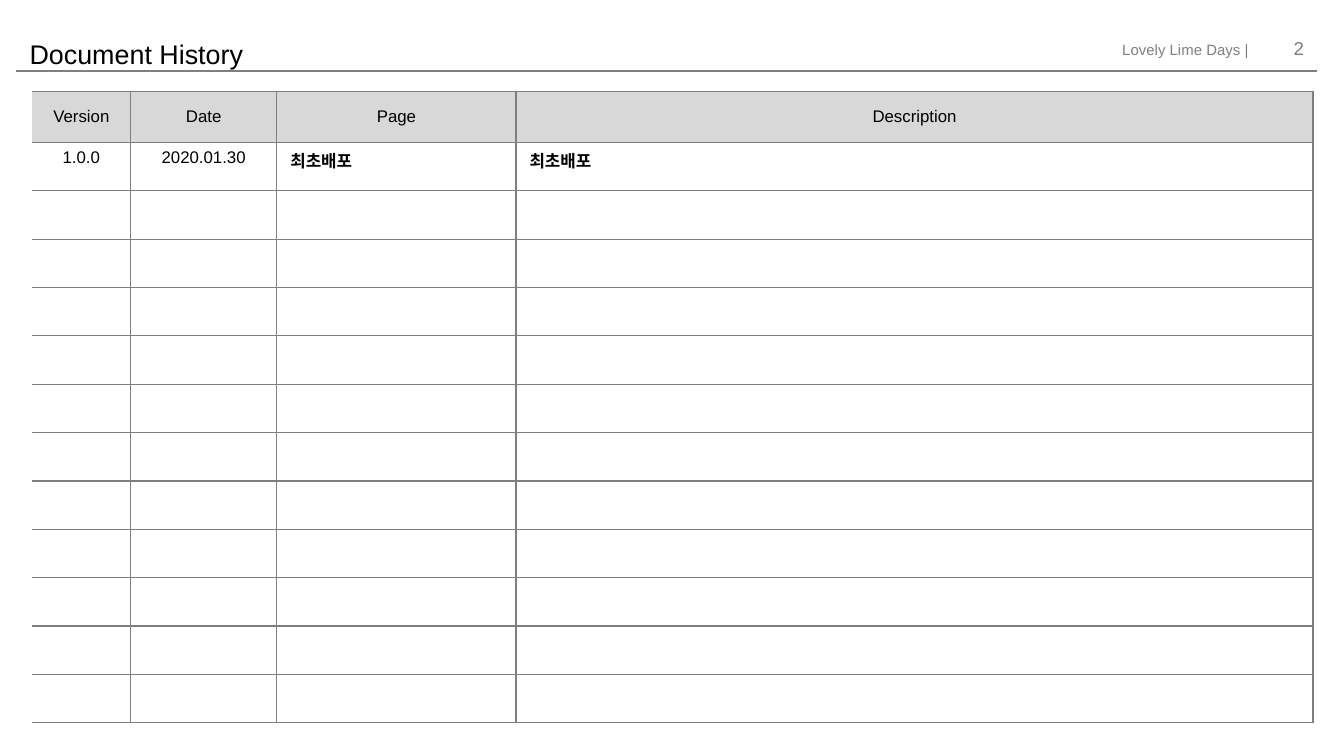
import pptx
import pptx.util
from lxml import etree
from pptx.dml.color import RGBColor
from pptx.enum.shapes import MSO_CONNECTOR
from pptx.enum.text import MSO_ANCHOR, MSO_AUTO_SIZE, PP_ALIGN
from pptx.oxml.ns import qn

PX = 9144  # EMU per px, 100 px to the inch
BLACK = RGBColor(0x00, 0x00, 0x00)
WHITE = RGBColor(0xFF, 0xFF, 0xFF)
GRAY = RGBColor(0x7F, 0x7F, 0x7F)
LIGHT_GRAY = RGBColor(0xD8, 0xD8, 0xD8)
FONT = "Arial"
CELL_SIZE = 9

SLIDE_WIDTH = 1000
COLUMNS = [73, 109, 178, 593]
HEADER_HEIGHT, ROW_HEIGHT = 38, 36
HEADER = ["Version", "Date", "Page", "Description"]
HISTORY = [["1.0.0", "2020.01.30", "최초배포", "최초배포"]]
EMPTY_ROWS = 11


def px(*values):
    return [pptx.util.Emu(v * PX) for v in values]


def write(tf, text, size, color, align=PP_ALIGN.LEFT, bold=False):
    p = tf.paragraphs[0]
    p.alignment = align
    r = p.add_run()
    r.text = text
    font = {"name": FONT, "size": pptx.util.Pt(size), "bold": bold}
    for key, value in font.items():
        setattr(r.font, key, value)
    r.font.color.rgb = color


def set_frame(tf, anchor):
    frame = {"word_wrap": True, "auto_size": MSO_AUTO_SIZE.NONE,
             "vertical_anchor": anchor}
    for key, value in frame.items():
        setattr(tf, key, value)


def add_title(s, box, text):
    title = s.shapes.title
    for key, value in zip(("left", "top", "width", "height"), px(*box)):
        setattr(title, key, value)
    set_frame(title.text_frame, MSO_ANCHOR.TOP)
    write(title.text_frame, text, 14.4, BLACK)


def add_label(s, box, text, size, anchor):
    tf = s.shapes.add_textbox(*px(*box)).text_frame
    set_frame(tf, anchor)
    write(tf, text, size, GRAY, PP_ALIGN.RIGHT)


def add_rule(s, x1, y, x2):
    line = s.shapes.add_connector(MSO_CONNECTOR.STRAIGHT, *px(x1, y, x2, y))
    line.line.color.rgb = GRAY
    line.line.width = pptx.util.Pt(1)
    etree.SubElement(line._element.spPr, qn("a:effectLst"))


def set_borders(cell, open_left):
    tcPr = cell._tc.get_or_add_tcPr()
    for side in "LRTB":
        ln = etree.SubElement(tcPr, qn(f"a:ln{side}"), w=str(pptx.util.Pt(0.75)))
        if side == "L" and open_left:
            etree.SubElement(ln, qn("a:noFill"))
        else:
            fill = etree.SubElement(ln, qn("a:solidFill"))
            etree.SubElement(fill, qn("a:srgbClr"), val=str(GRAY))


def fill_cell(cell, text, row, col):
    header = row == 0
    set_borders(cell, open_left=col == 0)
    cell.fill.solid()
    cell.fill.fore_color.rgb = LIGHT_GRAY if header else WHITE
    cell.vertical_anchor = MSO_ANCHOR.MIDDLE if header else MSO_ANCHOR.TOP
    cell.margin_top, cell.margin_bottom = px(4, 4)
    if text:
        centred = header or col < 2
        write(cell.text_frame, text, CELL_SIZE, BLACK,
              PP_ALIGN.CENTER if centred else PP_ALIGN.LEFT, bold=not centred)
    else:
        # Small type keeps an empty row at its height
        p = cell.text_frame.paragraphs[0]
        etree.SubElement(p._p, qn("a:endParaRPr"), sz=str(CELL_SIZE * 100))


def add_history_table(s, left, top):
    rows = [HEADER] + HISTORY + [[""] * len(COLUMNS)] * EMPTY_ROWS
    heights = [HEADER_HEIGHT] + [ROW_HEIGHT] * (len(rows) - 1)
    table = s.shapes.add_table(len(rows), len(COLUMNS),
                               *px(left, top, sum(COLUMNS), sum(heights))).table
    table.first_row = table.horz_banding = False
    for column, width in zip(table.columns, px(*COLUMNS)):
        column.width = width
    for row, height in zip(table.rows, px(*heights)):
        row.height = height
    for i, texts in enumerate(rows):
        for j, text in enumerate(texts):
            fill_cell(table.cell(i, j), text, i, j)


def main():
    prs = pptx.Presentation()
    prs.slide_width = px(SLIDE_WIDTH)[0]
    prs.slide_height = prs.slide_width * 9 // 16
    s = prs.slides.add_slide(prs.slide_layouts[5])

    # Page head
    add_label(s, (815, 25, 124, 24), "Lovely Lime Days |", 8, MSO_ANCHOR.TOP)
    add_rule(s, 12, 53, 980)
    add_title(s, (12, 23, 803, 30), "Document History")

    # Version history
    add_history_table(s, 24, 68)

    # Page number
    add_label(s, (920, 21, 60, 30), "2", 10, MSO_ANCHOR.MIDDLE)

    prs.save("out.pptx")


if __name__ == "__main__":
    main()
